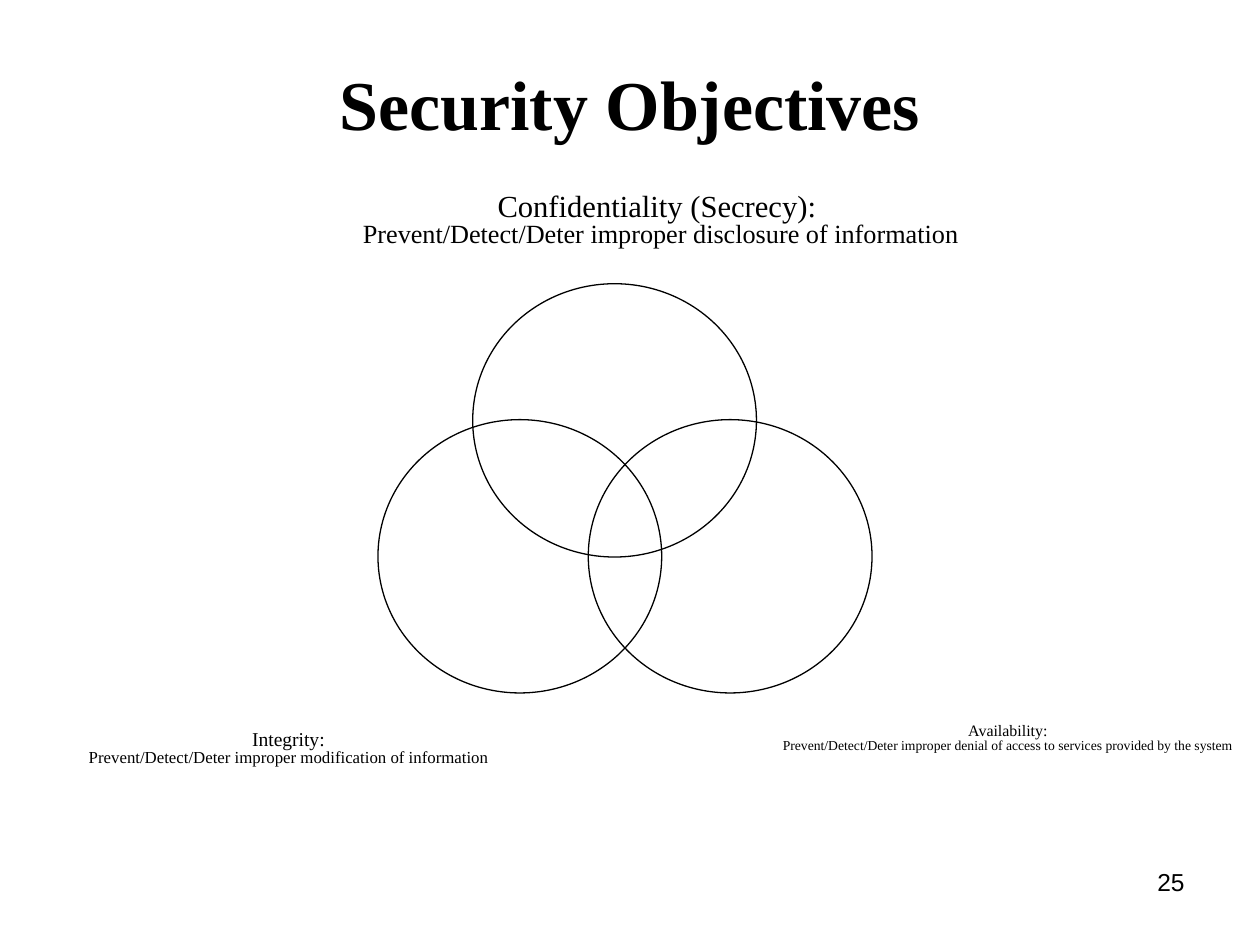
from copy import deepcopy
from dataclasses import dataclass

from lxml import etree
from pptx import Presentation
from pptx import util as u
from pptx.dml.color import RGBColor
from pptx.enum import shapes, text
from pptx.slide import Slide


@dataclass(frozen=True)
class Theme:
    ink: RGBColor = RGBColor(0, 0, 0)
    serif: str = "Times New Roman"
    sans: str = "Arial"
    title_size: float = 40
    number_size: float = 14
    outline: float = 0.75
    inset_x: float = 0.25
    inset_y: float = 0.13


@dataclass(frozen=True)
class Line:
    words: str
    size: float
    font: str
    bold: bool = False


@dataclass(frozen=True)
class Caption:
    """Lines of text in a box; lengths in centimetres."""
    left: float
    top: float
    width: float
    height: float
    lines: tuple[Line, ...]
    align: text.PP_ALIGN = text.PP_ALIGN.CENTER
    anchor: text.MSO_ANCHOR = text.MSO_ANCHOR.MIDDLE
    spacing: float = 1.0
    lift: float = 0.0


@dataclass(frozen=True)
class Circle:
    left: float
    top: float


THEME = Theme()
CIRCLE_WIDTH, CIRCLE_HEIGHT = 5.72, 5.51
LOWER_TOP = 8.46

CIRCLES = (
    Circle(9.53, 5.72),
    Circle(7.62, LOWER_TOP),
    Circle(11.86, LOWER_TOP),
)


def objective(left: float, top: float, width: float, name: str, name_size: float,
              goal: str, goal_size: float, lift: float = 0.0) -> Caption:
    lines = (Line(name, name_size, THEME.serif),
             Line(f"Prevent/Detect/Deter improper {goal}", goal_size, THEME.serif))
    return Caption(left, top, width, 1.7, lines, spacing=0.8, lift=lift)


CAPTIONS = (
    Caption(18.21, 17.35, 5.92, 1.32, (Line("25", THEME.number_size, THEME.sans),),
            align=text.PP_ALIGN.RIGHT, anchor=text.MSO_ANCHOR.TOP),
    Caption(1.27, 0.76, 22.86, 2.62,
            (Line("Security Objectives", THEME.title_size, THEME.serif, bold=True),)),
    objective(2.11, 3.61, 22.43, "Confidentiality (Secrecy): ", 17.5,
              "disclosure of information", 15),
    objective(0, 14.4, 11.63, "Integrity:", 11.2,
              "modification of information", 9.6, lift=0.3),
    objective(15.24, 14.17, 10.16, "Availability:", 9.1,
              "denial of access to services provided by the system", 7.8, lift=0.25),
)


def draw_circle(slide: Slide, circle: Circle) -> None:
    ring = slide.shapes.add_shape(
        shapes.MSO_SHAPE.OVAL, u.Cm(circle.left), u.Cm(circle.top),
        u.Cm(CIRCLE_WIDTH), u.Cm(CIRCLE_HEIGHT))
    ring.shadow.inherit = False
    ring.fill.background()
    ring.line.color.rgb = THEME.ink
    ring.line.width = u.Pt(THEME.outline)


def draw_caption(slide: Slide, caption: Caption) -> None:
    """Draw one paragraph whose lines are parted by breaks of matching size."""
    box = slide.shapes.add_textbox(u.Cm(caption.left), u.Cm(caption.top),
                                   u.Cm(caption.width), u.Cm(caption.height))
    frame = box.text_frame
    frame.word_wrap = True
    frame.vertical_anchor = caption.anchor
    frame.margin_left = frame.margin_right = u.Cm(THEME.inset_x)
    frame.margin_top = u.Cm(THEME.inset_y)
    frame.margin_bottom = u.Cm(THEME.inset_y + caption.lift)
    paragraph = frame.paragraphs[0]
    paragraph.alignment = caption.align
    paragraph.line_spacing = caption.spacing
    previous = None
    for line in caption.lines:
        if previous is not None:
            paragraph.add_line_break()
            line_break: etree._Element = paragraph._p[-1]
            line_break.append(deepcopy(previous._r.rPr))
        run = paragraph.add_run()
        run.text = line.words
        run.font.name = line.font
        run.font.size = u.Pt(line.size)
        run.font.bold = line.bold
        run.font.color.rgb = THEME.ink
        previous = run


def main() -> None:
    deck = Presentation()
    deck.slide_width, deck.slide_height = u.Cm(25.4), u.Cm(19.05)
    slide = deck.slides.add_slide(deck.slide_layouts[6])
    for circle in CIRCLES:
        draw_circle(slide, circle)
    for caption in CAPTIONS:
        draw_caption(slide, caption)
    deck.save("out.pptx")


if __name__ == "__main__":
    main()
